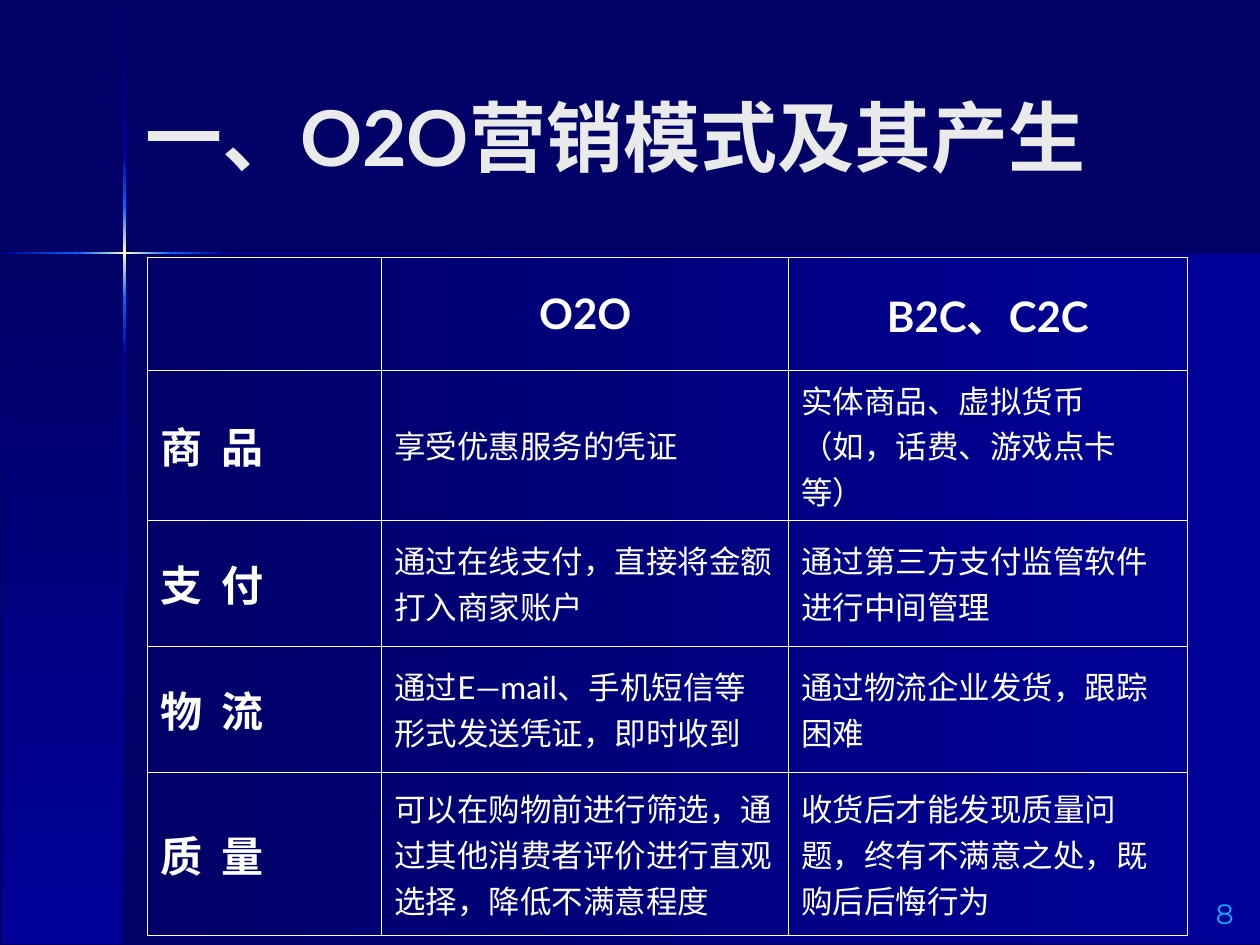
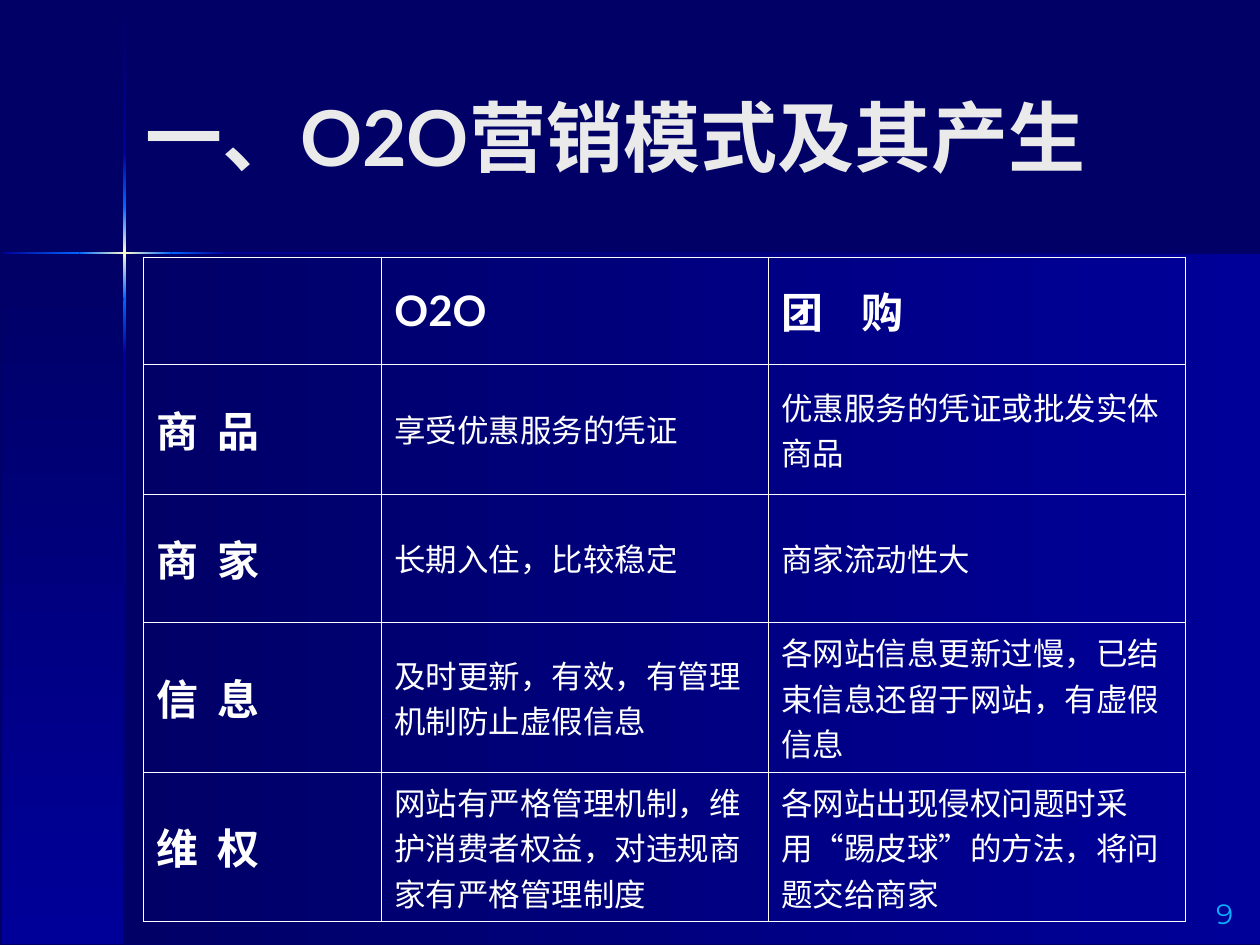
import itertools
from dataclasses import dataclass

import pptx
import pptx.dml.color
import pptx.enum.shapes
import pptx.enum.text
import pptx.oxml.ns
import pptx.util
from lxml import etree

Inches, Pt = pptx.util.Inches, pptx.util.Pt
Align = pptx.enum.text.PP_ALIGN
Anchor = pptx.enum.text.MSO_ANCHOR
qn = pptx.oxml.ns.qn

# Content
TITLE = "一、O2O营销模式及其产生"
PAGES = [
    {
        "number": "8",
        "origin": (1.17, 2.04),
        "columns": (1.86, 3.23, 3.16),
        "rows": (0.9, 1.18, 1, 1, 1.3),
        "header_align": Align.CENTER,
        "cells": [
            ("", "O2O", "B2C、C2C"),
            ("商 品", "享受优惠服务的凭证", "实体商品、虚拟货币（如，话费、游戏点卡等）"),
            ("支 付", "通过在线支付，直接将金额打入商家账户", "通过第三方支付监管软件进行中间管理"),
            ("物 流", "通过E—mail、手机短信等形式发送凭证，即时收到", "通过物流企业发货，跟踪困难"),
            ("质 量", "可以在购物前进行筛选，通过其他消费者评价进行直观选择，降低不满意程度",
             "收货后才能发现质量问题，终有不满意之处，既购后后悔行为"),
        ],
    },
    {
        "number": "9",
        "origin": (1.14, 2.04),
        "columns": (1.89, 3.07, 3.31),
        "rows": (0.85, 1.03, 1.02, 1.19, 1.18),
        "header_align": Align.LEFT,
        "cells": [
            ("", "O2O", "团　购"),
            ("商 品", "享受优惠服务的凭证", "优惠服务的凭证或批发实体商品"),
            ("商 家", "长期入住，比较稳定", "商家流动性大"),
            ("信 息", "及时更新，有效，有管理机制防止虚假信息",
             "各网站信息更新过慢，已结束信息还留于网站，有虚假信息"),
            ("维 权", "网站有严格管理机制，维护消费者权益，对违规商家有严格管理制度",
             "各网站出现侵权问题时采用“踢皮球”的方法，将问题交给商家"),
        ],
    },
]


@dataclass(frozen=True)
class Theme:
    dark: str = "000066"
    edge: str = "000099"
    glow: str = "0066FF"
    peak: str = "FFFFCC"
    title: str = "EAEAEA"
    text: str = "FFFFFF"
    number: str = "0DAEFF"
    font: str = "Lato"
    number_font: str = "Montserrat"
    title_size: int = 44
    label_size: int = 24
    body_size: int = 18
    number_size: int = 16
    label_spacing: float = 2.9
    wide_spacing: float = -1.1
    border: float = 0.45


THEME = Theme()
WIDTH, HEIGHT = 10, 7.5

# Backdrop: two panels and a glowing cross, cut where its colours change
LEFT, BOTTOM, BEAM = 0.02, 7.49, 0.02
CROSS_X, CROSS_Y = 0.98, 2
BEAM_COLOURS = [
    (THEME.dark, THEME.edge),
    (THEME.edge, THEME.glow),
    (THEME.glow, THEME.peak, THEME.glow),
    (THEME.glow, THEME.edge),
    (THEME.edge, THEME.dark),
]
VERTICAL_CUTS = (0, 1.21, 1.64, 2.37, 2.81, BOTTOM)
HORIZONTAL_CUTS = (LEFT, 0.63, 1.36, 1.79, WIDTH)


def rgb(colour):
    return pptx.dml.color.RGBColor.from_string(colour)


def add_gradient(page, left, top, width, height, colours, down):
    band = page.shapes.add_shape(pptx.enum.shapes.MSO_SHAPE.RECTANGLE,
                                 *map(Inches, (left, top, width, height)))
    band.shadow.inherit = False
    band.line.fill.background()
    band.fill.gradient()
    band.fill.gradient_angle = 270 if down else 0
    stops = next(band._element.spPr.iter(qn("a:gsLst")))
    for old in list(stops):
        stops.remove(old)
    for index, colour in enumerate(colours):
        position = 100000 * index // (len(colours) - 1)
        stop = etree.SubElement(stops, qn("a:gs"), pos=str(position))
        etree.SubElement(stop, qn("a:srgbClr"), val=colour)


def add_backdrop(page):
    page.background.fill.solid()
    page.background.fill.fore_color.rgb = rgb(THEME.dark)
    panel_top, panel_left = CROSS_Y + BEAM / 2, CROSS_X + BEAM / 2
    fade = BEAM_COLOURS[0]
    add_gradient(page, panel_left, panel_top, WIDTH - panel_left, BOTTOM - panel_top, fade, False)
    add_gradient(page, LEFT, panel_top, panel_left - LEFT, BOTTOM - panel_top, fade, True)
    for (start, end), colours in zip(itertools.pairwise(VERTICAL_CUTS), BEAM_COLOURS):
        add_gradient(page, CROSS_X, start, BEAM, end - start, colours, True)
    for (start, end), colours in zip(itertools.pairwise(HORIZONTAL_CUTS), BEAM_COLOURS[1:]):
        add_gradient(page, start, CROSS_Y, end - start, BEAM, colours, False)


def write(frame, text, size, colour, font=THEME.font, bold=False, align=Align.LEFT):
    para = frame.paragraphs[0]
    para.alignment = align
    # Keep closing punctuation inside the margin
    para._p.get_or_add_pPr().set("hangingPunct", "0")
    span = para.add_run()
    span.text = text
    span.font.name, span.font.size, span.font.bold = font, Pt(size), bold
    span.font.color.rgb = rgb(colour)
    # Letter spacing tunes the gap in two-character labels
    for gap, spacing in ((" ", THEME.label_spacing), ("　", THEME.wide_spacing)):
        if gap in text:
            span.font._element.set("spc", str(round(spacing * 100)))


def add_text(page, area, text, size, colour, **style):
    box = page.shapes.add_textbox(*map(Inches, area))
    box.text_frame.word_wrap = True
    box.text_frame.vertical_anchor = Anchor.MIDDLE
    write(box.text_frame, text, size, colour, **style)


def outline(cell):
    properties = cell._tc.get_or_add_tcPr()
    for side in ("lnL", "lnR", "lnT", "lnB"):
        line = etree.SubElement(properties, qn("a:" + side), w=str(Pt(THEME.border)))
        fill = etree.SubElement(line, qn("a:solidFill"))
        etree.SubElement(fill, qn("a:srgbClr"), val=THEME.text)
    cell.fill.background()


def add_comparison(page, content):
    columns, rows = content["columns"], content["rows"]
    area = (*content["origin"], sum(columns), sum(rows))
    table = page.shapes.add_table(len(rows), len(columns), *map(Inches, area)).table
    table.first_row = table.horz_banding = False
    for column, width in zip(table.columns, columns):
        column.width = Inches(width)
    for row, height in zip(table.rows, rows):
        row.height = Inches(height)
    for r, texts in enumerate(content["cells"]):
        for c, text in enumerate(texts):
            cell = table.cell(r, c)
            outline(cell)
            cell.vertical_anchor = Anchor.MIDDLE
            if not text:
                continue
            heading = r == 0 or c == 0
            write(cell.text_frame, text,
                  THEME.label_size if heading else THEME.body_size, THEME.text,
                  bold=heading,
                  align=content["header_align"] if r == 0 else Align.LEFT)


def main():
    deck = pptx.Presentation()
    deck.slide_width, deck.slide_height = Inches(WIDTH), Inches(HEIGHT)
    for content in PAGES:
        page = deck.slides.add_slide(deck.slide_layouts[6])
        add_backdrop(page)
        add_comparison(page, content)
        add_text(page, (1.06, 0.29, 8.25, 1.57), TITLE, THEME.title_size, THEME.title, bold=True)
        add_text(page, (9.44, 7, 0.56, 0.5), content["number"], THEME.number_size,
                 THEME.number, font=THEME.number_font, align=Align.CENTER)
    deck.save("out.pptx")


if __name__ == "__main__":
    main()
